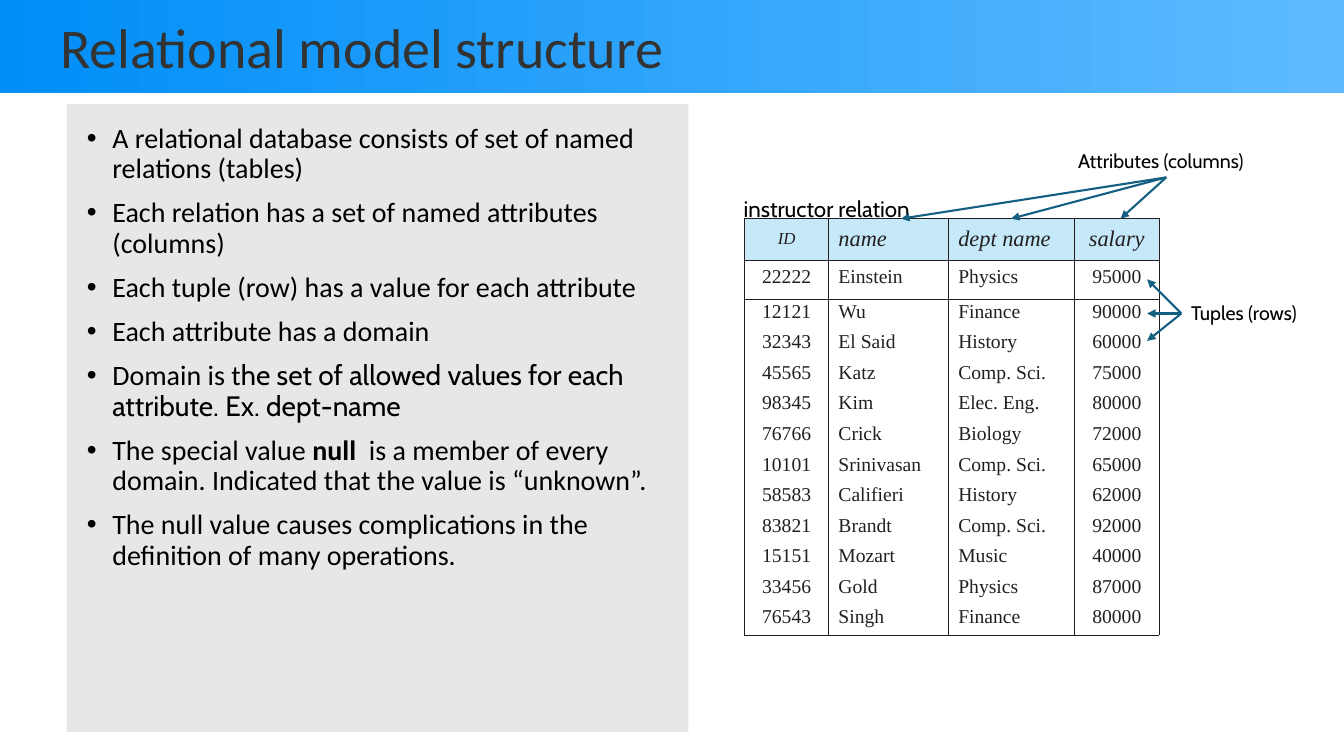
from lxml.etree import SubElement
from pptx import Presentation
from pptx.dml.color import RGBColor
from pptx.enum.shapes import MSO_CONNECTOR
from pptx.enum.text import MSO_ANCHOR, MSO_AUTO_SIZE, PP_ALIGN
from pptx.oxml import parse_xml
from pptx.oxml.ns import nsdecls, qn
from pptx.util import Cm, Pt

COLORS = {
    "band_start": "008EF8", "band_end": "5FBBFF", "title": "333333",
    "panel": "E7E7E7", "text": "000000", "header": "C6E9FA",
    "cell": "231F20", "border": "221E1F", "arrow": "156082",
}
SANS, LABEL, SERIF = "Calibri", "Cabin", "Times New Roman"

# Each point is a list of (text, format) runs.
POINTS = [
    [("A relational database consists of set of named relations (tables)", {})],
    [("Each relation has a set of named attributes (columns)", {})],
    [("Each tuple (row) has a value for each attribute", {})],
    [("Each attribute has a domain", {})],
    [("Domain is t", {}),
     ("he set of allowed values for each attribute. Ex. dept-name", {"name": LABEL})],
    [("The special value ", {}), ("null", {"bold": True}),
     ("  is a member of every domain. Indicated that the value is “unknown”.", {})],
    [("The null value causes complications in the definition of many operations.", {})],
]
INSTRUCTORS = [
    ("ID", "name", "dept name", "salary"),
    ("22222", "Einstein", "Physics", "95000"),
    ("12121", "Wu", "Finance", "90000"),
    ("32343", "El Said", "History", "60000"),
    ("45565", "Katz", "Comp. Sci.", "75000"),
    ("98345", "Kim", "Elec. Eng.", "80000"),
    ("76766", "Crick", "Biology", "72000"),
    ("10101", "Srinivasan", "Comp. Sci.", "65000"),
    ("58583", "Califieri", "History", "62000"),
    ("83821", "Brandt", "Comp. Sci.", "92000"),
    ("15151", "Mozart", "Music", "40000"),
    ("33456", "Gold", "Physics", "87000"),
    ("76543", "Singh", "Finance", "80000"),
]
COLUMN_WIDTHS = [2.11, 3.02, 3.18, 2.13]
ROW_HEIGHTS = [1.04, 0.98] + [0.77] * 11
LABELS = [
    ("instructor relation", 16, (18.49, 4.8, 4.93, 0.94)),
    ("Attributes (columns)", 14, (26.92, 3.63, 4.93, 0.86)),
    ("Tuples (rows)", 14, (29.77, 7.47, 3.35, 0.86)),
]
# Start of each fan of arrows, and the tips it reaches.
ARROW_FANS = [
    ((29.77, 7.9), [(28.91, 7.9), (28.91, 7.04), (28.91, 8.59)]),
    ((29.39, 4.47), [(28.24, 5.51), (25.48, 5.51), (22.71, 5.51)]),
]


def rgb(key):
    return RGBColor.from_string(COLORS[key])


def assign(target, values):
    for name, value in values.items():
        setattr(target, name, value)


class SlideBuilder:
    def __init__(self, slide):
        self.slide = slide

    def styled_run(self, paragraph, text, color, **font):
        run = paragraph.add_run()
        run.text = text
        assign(run.font, font)
        run.font.color.rgb = rgb(color)

    def place(self, shape, box, insets, anchor):
        assign(shape, dict(zip(("left", "top", "width", "height"), map(Cm, box))))
        sides = ("margin_left", "margin_top", "margin_right", "margin_bottom")
        frame = shape.text_frame
        assign(frame, dict(zip(sides, map(Cm, insets))))
        assign(frame, {"word_wrap": True, "auto_size": MSO_AUTO_SIZE.NONE,
                       "vertical_anchor": anchor})
        return frame

    def title(self, text, box):
        band = self.slide.shapes.title
        frame = self.place(band, box, (1.52, 0.13, 0.25, 0.13), MSO_ANCHOR.MIDDLE)
        band.fill.gradient()
        band.fill.gradient_angle = 0
        for stop, key in zip(band.fill.gradient_stops, ("band_start", "band_end")):
            stop.color.rgb = rgb(key)
        heading = frame.paragraphs[0]
        heading.alignment = PP_ALIGN.LEFT
        self.styled_run(heading, text, "title", name=SANS, size=Pt(40))

    def bullets(self, points, box):
        panel = self.slide.placeholders[1]
        frame = self.place(panel, box, (0.51, 0.51, 0.25, 0.13), MSO_ANCHOR.TOP)
        panel.fill.solid()
        panel.fill.fore_color.rgb = rgb("panel")
        for index, runs in enumerate(points):
            point = frame.add_paragraph() if index else frame.paragraphs[0]
            properties = point._p.get_or_add_pPr()
            properties.set("marL", str(Cm(0.64)))
            properties.set("indent", str(-Cm(0.64)))
            SubElement(properties, qn("a:buFont")).set("typeface", "Arial")
            SubElement(properties, qn("a:buChar")).set("char", "•")
            assign(point, {"line_spacing": 0.9, "space_before": Pt(10 if index else 0)})
            for text, style in runs:
                self.styled_run(point, text, "text",
                                **{"name": SANS, "size": Pt(20), **style})

    def borders(self, cell, visible):
        """Draw the sides named in visible (from L, R, T, B) and clear the others."""
        properties = cell._tc.get_or_add_tcPr()
        for position, side in enumerate("LRTB"):
            fill = (f'<a:solidFill><a:srgbClr val="{COLORS["border"]}"/></a:solidFill>'
                    if side in visible else "<a:noFill/>")
            properties.insert(position, parse_xml(
                f'<a:ln{side} {nsdecls("a")} w="{Pt(0.5)}">{fill}</a:ln{side}>'))

    def cell(self, cell, text, row, column):
        header = row == 0
        assign(cell, {"margin_left": 0, "margin_right": 0, "margin_top": 0,
                      "margin_bottom": 0, "vertical_anchor": MSO_ANCHOR.MIDDLE})
        value = cell.text_frame.paragraphs[0]
        if column in (0, 3):
            value.alignment = PP_ALIGN.CENTER
        else:
            value._p.get_or_add_pPr().set("marL", str(Cm(0.25)))
        if header:
            cell.fill.solid()
            cell.fill.fore_color.rgb = rgb("header")
            size = 12 if column == 0 else 16
        else:
            cell.fill.background()
            value.line_spacing = Pt(12)
            size = 14
        self.styled_run(value, text, "cell", name=SERIF, size=Pt(size), italic=header)
        top = "T" if row <= 2 else ""
        bottom = "B" if row in (0, 1, len(INSTRUCTORS) - 1) else ""
        self.borders(cell, "LR" + top + bottom)

    def table(self, records, left, top):
        relation = self.slide.shapes.add_table(
            len(records), len(COLUMN_WIDTHS), Cm(left), Cm(top),
            Cm(sum(COLUMN_WIDTHS)), Cm(sum(ROW_HEIGHTS))).table
        assign(relation, {"first_row": False, "horz_banding": False})
        for column, width in zip(relation.columns, COLUMN_WIDTHS):
            column.width = Cm(width)
        for row, height in zip(relation.rows, ROW_HEIGHTS):
            row.height = Cm(height)
        for r, record in enumerate(records):
            for c, text in enumerate(record):
                self.cell(relation.cell(r, c), text, r, c)

    def label(self, text, size, box):
        frame = self.slide.shapes.add_textbox(*map(Cm, box)).text_frame
        assign(frame, {"word_wrap": False, "auto_size": MSO_AUTO_SIZE.SHAPE_TO_FIT_TEXT})
        self.styled_run(frame.paragraphs[0], text, "text", name=LABEL, size=Pt(size))

    def arrow(self, start, tip):
        arrow = self.slide.shapes.add_connector(
            MSO_CONNECTOR.STRAIGHT, *map(Cm, start + tip))
        arrow.line.color.rgb = rgb("arrow")
        arrow.line.width = Pt(1.5)
        properties = arrow._element.spPr
        SubElement(properties.find(qn("a:ln")), qn("a:tailEnd")).set("type", "triangle")
        SubElement(properties, qn("a:effectLst"))


def main():
    deck = Presentation()
    assign(deck, {"slide_width": Cm(33.87), "slide_height": Cm(19.05)})
    builder = SlideBuilder(deck.slides.add_slide(deck.slide_layouts[1]))
    builder.title("Relational model structure", (0, 0, 33.87, 2.34))
    builder.bullets(POINTS, (1.68, 2.62, 15.67, 15.82))
    builder.table(INSTRUCTORS, 18.77, 5.51)
    for label in LABELS:
        builder.label(*label)
    for start, tips in ARROW_FANS:
        for tip in tips:
            builder.arrow(start, tip)
    deck.save("out.pptx")


if __name__ == "__main__":
    main()
